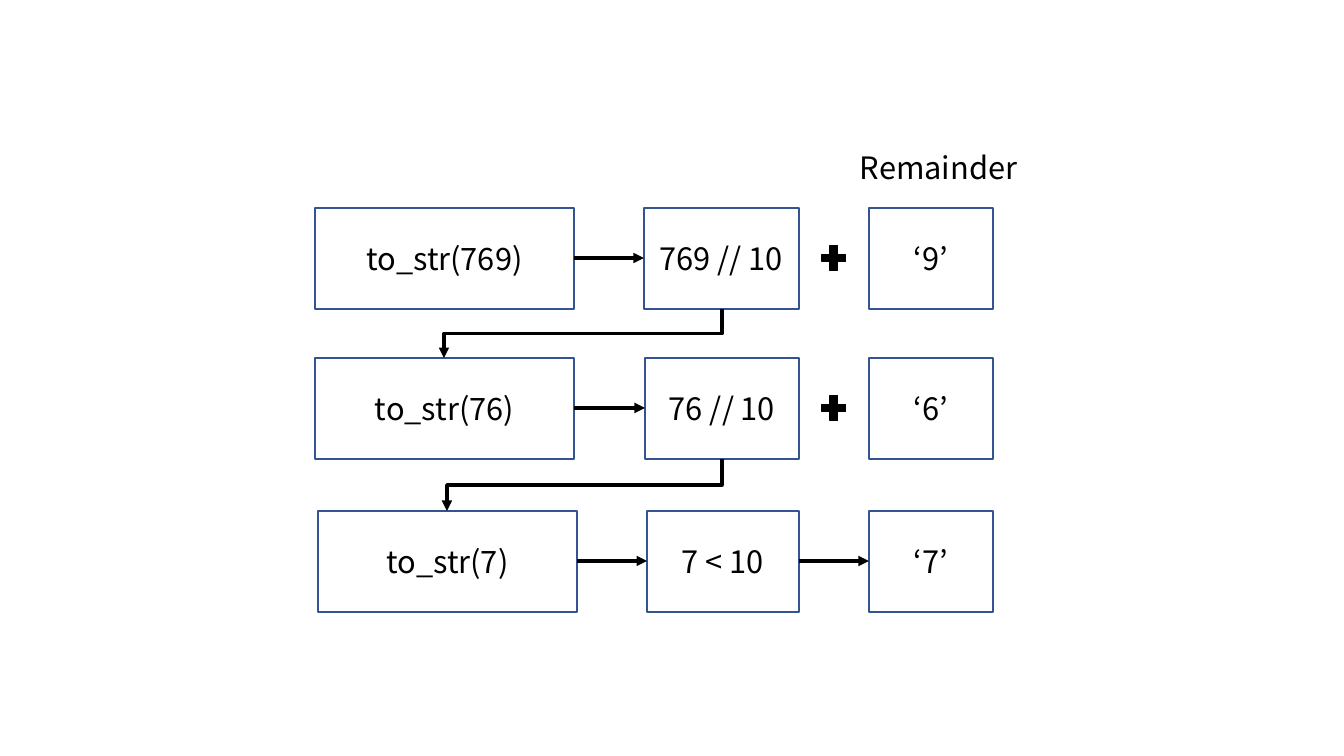
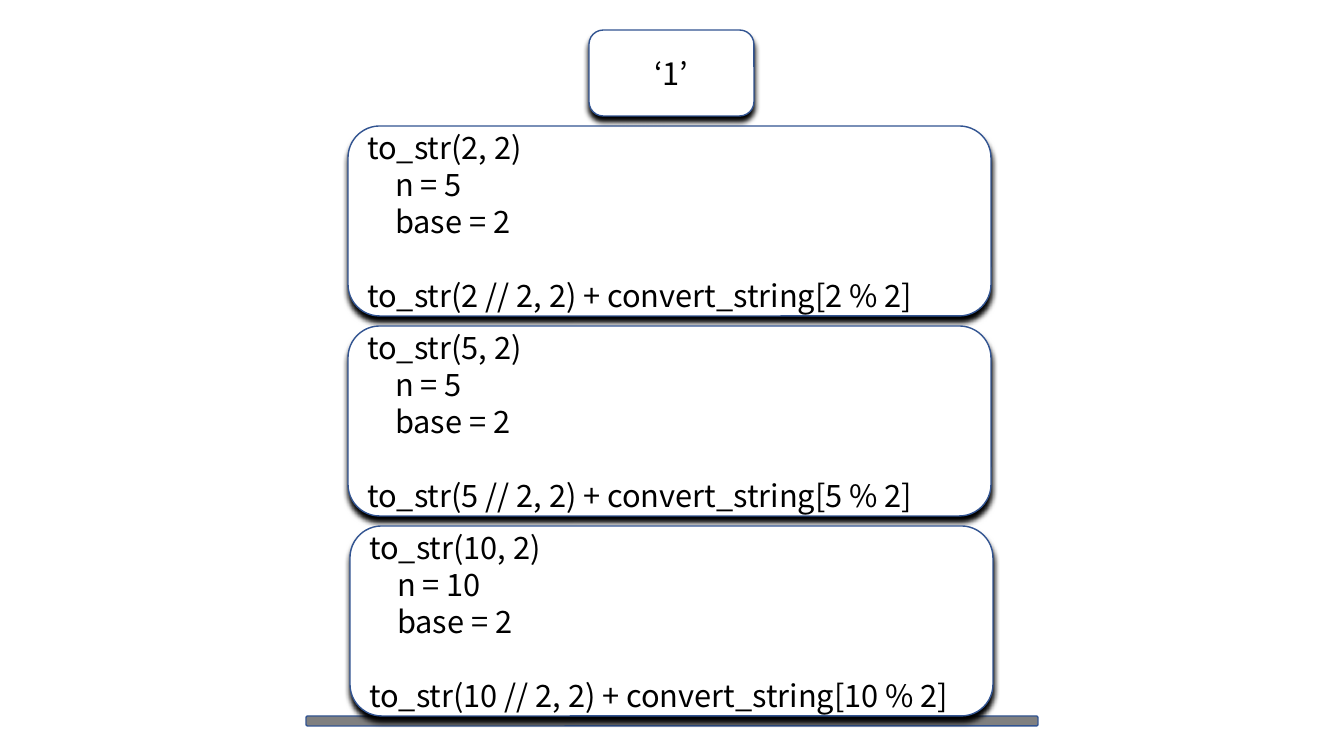
from lxml.etree import SubElement
from pptx import Presentation
from pptx.dml.color import RGBColor
from pptx.enum.shapes import MSO_CONNECTOR, MSO_SHAPE
from pptx.enum.text import MSO_ANCHOR, PP_ALIGN
from pptx.oxml.ns import qn
from pptx.util import Emu, Pt

SCALE = 914400 / 100.8
FONT = "Noto Sans CJK KR"
COLORS = {"paper": "FFFFFF", "ink": "000000", "border": "325491", "ground": "808080"}
TEXT_FORMAT = {"name": FONT, "size": Pt(22)}
FRAME_FORMAT = {"word_wrap": True, "vertical_anchor": MSO_ANCHOR.MIDDLE}
LINE_HEIGHT = Pt(26.4)
INDENT = 28


def px(length):
    return Emu(round(length * SCALE))


def color(key):
    return RGBColor.from_string(COLORS[key])


class Deck:
    """Holds the shared style and the current slide."""

    def __init__(self, width, height):
        self.prs = Presentation()
        self.prs.slide_width, self.prs.slide_height = px(width), px(height)

    def new_slide(self):
        self.slide = self.prs.slides.add_slide(self.prs.slide_layouts[6])

    def fill_text(self, frame, lines, align=PP_ALIGN.CENTER):
        for key, value in FRAME_FORMAT.items():
            setattr(frame, key, value)
        frame.text = "\n".join(lines)
        for paragraph in frame.paragraphs:
            paragraph.alignment = align
            run = paragraph.runs[0]
            for key, value in TEXT_FORMAT.items():
                setattr(run.font, key, value)
            run.font.color.rgb = color("ink")
            SubElement(run.font._element, qn("a:ea"), typeface=FONT)

    def label(self, left, top, width, height, text):
        box = self.slide.shapes.add_textbox(*map(px, (left, top, width, height)))
        self.fill_text(box.text_frame, [text])

    def shape(self, kind, left, top, width, height, fill="paper", line="border"):
        shape = self.slide.shapes.add_shape(kind, *map(px, (left, top, width, height)))
        shape.shadow.inherit = False
        shape.fill.solid()
        shape.fill.fore_color.rgb = color(fill)
        shape.line.color.rgb = color(line)
        shape.line.width = Pt(1)
        return shape

    def box(self, left, top, width, height, text):
        box = self.shape(MSO_SHAPE.RECTANGLE, left, top, width, height)
        self.fill_text(box.text_frame, [text])

    def plus(self, left, top):
        self.shape(MSO_SHAPE.MATH_PLUS, left, top, 32, 34, "ink", "ink")

    def card(self, left, top, width, height, lines, align=PP_ALIGN.LEFT):
        card = self.shape(MSO_SHAPE.ROUNDED_RECTANGLE, left, top, width, height)
        effects = card._element.spPr.find(qn("a:effectLst"))
        shadow = SubElement(effects, qn("a:outerShdw"), blurRad=str(Pt(4)),
                            dist=str(Pt(4)), dir="5400000", algn="t", rotWithShape="0")
        SubElement(shadow, qn("a:srgbClr"), val=COLORS["ink"])
        self.fill_text(card.text_frame, lines, align)
        return card.text_frame.paragraphs

    def arrow(self, x1, y1, x2, y2, kind=MSO_CONNECTOR.STRAIGHT):
        arrow = self.slide.shapes.add_connector(kind, *map(px, (x1, y1, x2, y2)))
        arrow.line.color.rgb = color("ink")
        arrow.line.width = Pt(2.5)
        properties = arrow._element.spPr
        SubElement(properties.find(qn("a:ln")), qn("a:tailEnd"), type="triangle")
        SubElement(properties, qn("a:effectLst"))
        return arrow

    def step_down(self, x1, y1, x2, y2):
        run, drop = x1 - x2, y2 - y1
        left, top = (x1 + x2 - drop) / 2, (y1 + y2 - run) / 2
        arrow = self.arrow(left, top, left + drop, top + run, MSO_CONNECTOR.ELBOW)
        arrow._element.spPr.find(qn("a:xfrm")).set("rot", "5400000")


deck = Deck(1344, 756)

deck.new_slide()
BOX_HEIGHT, CALL_WIDTH = 101, 259
QUOTIENT_RIGHT, DIGIT_LEFT = 799, 869
CALLS = [
    (208, 315, 644, "to_str(769)", "769 // 10", "‘9’"),
    (358, 315, 645, "to_str(76)", "76 // 10", "‘6’"),
    (511, 318, 647, "to_str(7)", "7 < 10", "‘7’"),
]
deck.label(849, 144, 179, 47, "Remainder")
for top, call_left, quotient_left, call, quotient, digit in CALLS:
    middle = top + BOX_HEIGHT // 2
    deck.box(call_left, top, CALL_WIDTH, BOX_HEIGHT, call)
    deck.box(quotient_left, top, QUOTIENT_RIGHT - quotient_left, BOX_HEIGHT, quotient)
    deck.box(DIGIT_LEFT, top, 124, BOX_HEIGHT, digit)
    deck.arrow(call_left + CALL_WIDTH, middle, quotient_left, middle)
for (top, *_), (next_top, next_left, *_) in zip(CALLS, CALLS[1:]):
    deck.plus(818, top + 33)
    deck.step_down(722, top + BOX_HEIGHT, next_left + CALL_WIDTH // 2, next_top)
deck.arrow(QUOTIENT_RIGHT, middle, DIGIT_LEFT, middle)

deck.new_slide()
deck.shape(MSO_SHAPE.ROUNDED_RECTANGLE, 306, 716, 732, 10, "ground")
FRAMES = [(348, 2, 5), (348, 5, 5), (350, 10, 10)]
for level, (left, number, shown) in enumerate(FRAMES):
    lines = [f"to_str({number}, 2)", f"n = {shown}", "base = 2",
             f"to_str({number} // 2, 2) + convert_string[{number} % 2]"]
    call, *variables, result = deck.card(left, 126 + 200 * level, 643, 190, lines)
    for variable in variables:
        variable._p.get_or_add_pPr().set("marL", str(px(INDENT)))
    result.space_before = LINE_HEIGHT
deck.card(589, 30, 165, 86, ["‘1’"], PP_ALIGN.CENTER)

deck.prs.save("out.pptx")
